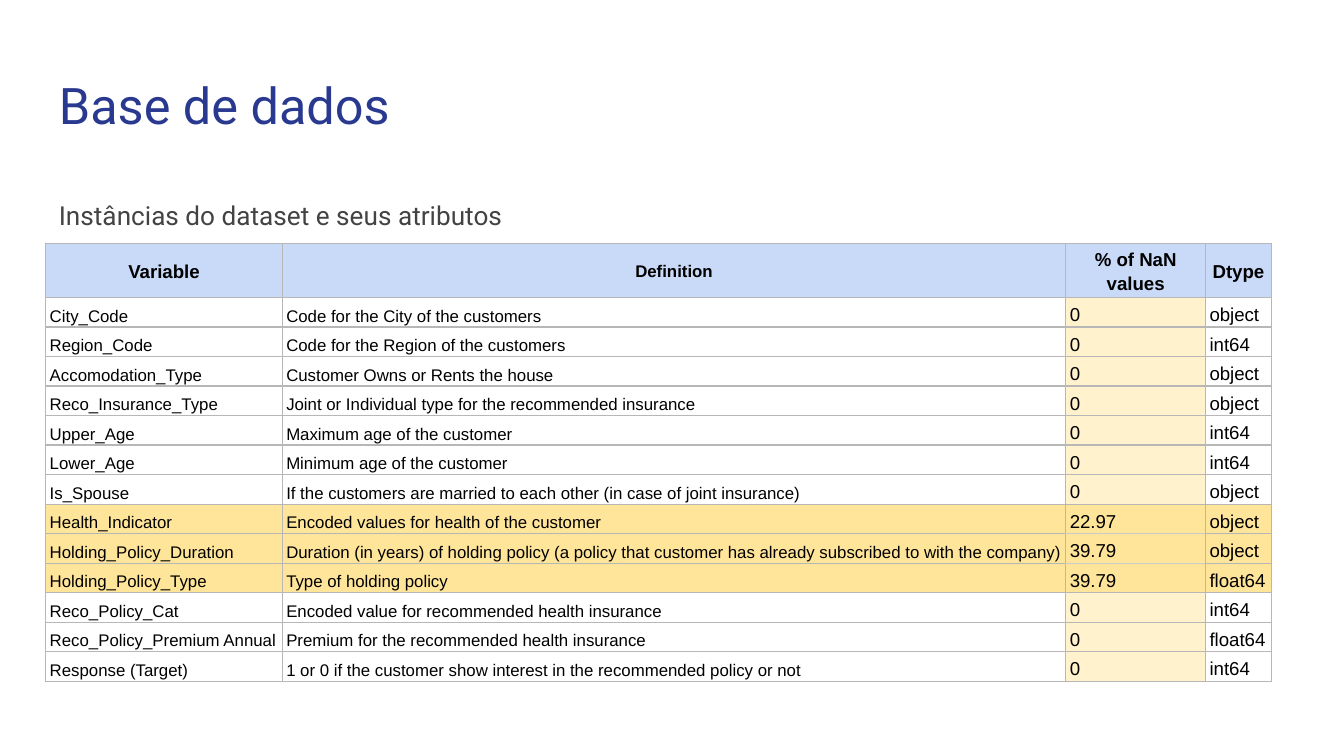
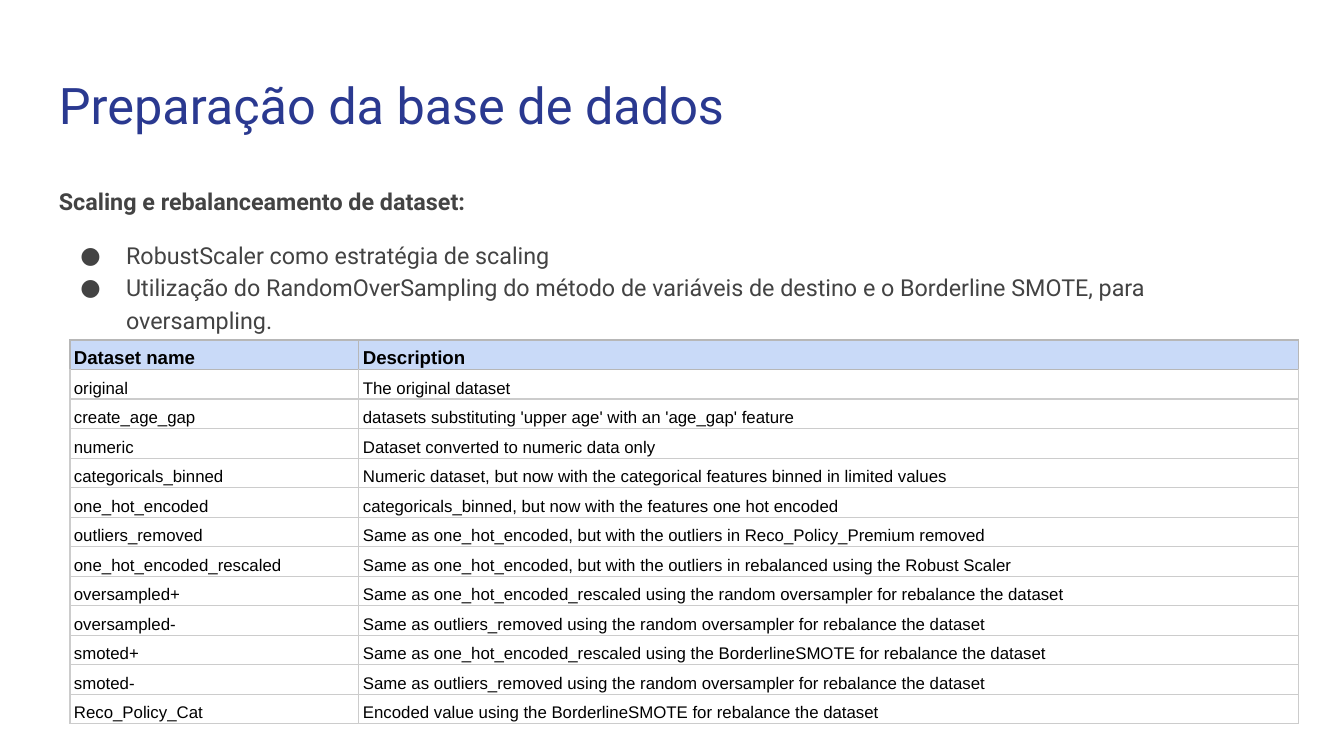
from lxml.etree import SubElement
from pptx import Presentation
from pptx.dml.color import RGBColor
from pptx.enum.text import MSO_ANCHOR, PP_ALIGN
from pptx.oxml import parse_xml
from pptx.oxml.ns import nsdecls, qn
from pptx.util import Inches, Pt

COLORS = {
    "title": "2A3990",
    "body": "434343",
    "cell": "000000",
    "header": "C9DAF8",
    "plain": "FFFFFF",
    "missing": "FFF2CC",
    "highlight": "FFE599",
    "rule": "B7B7B7",
    "soft_rule": "CCCCCC",
}
ROW_HEIGHT = 0.22

VARIABLES = [
    ("Variable", "Definition", "% of NaN values", "Dtype"),
    ("City_Code", "Code for the City of the customers", "0", "object"),
    ("Region_Code", "Code for the Region of the customers", "0", "int64"),
    ("Accomodation_Type", "Customer Owns or Rents the house", "0", "object"),
    ("Reco_Insurance_Type", "Joint or Individual type for the recommended insurance", "0", "object"),
    ("Upper_Age", "Maximum age of the customer", "0", "int64"),
    ("Lower_Age", "Minimum age of the customer", "0", "int64"),
    ("Is_Spouse", "If the customers are married to each other (in case of joint insurance)", "0", "object"),
    ("Health_Indicator", "Encoded values for health of the customer", "22.97", "object"),
    ("Holding_Policy_Duration",
     "Duration (in years) of holding policy (a policy that customer has already subscribed to with the company)",
     "39.79", "object"),
    ("Holding_Policy_Type", "Type of holding policy", "39.79", "float64"),
    ("Reco_Policy_Cat", "Encoded value for recommended health insurance", "0", "int64"),
    ("Reco_Policy_Premium Annual", "Premium for the recommended health insurance", "0", "float64"),
    ("Response (Target)", "1 or 0 if the customer show interest in the recommended policy or not", "0", "int64"),
]

DATASETS = [
    ("Dataset name", "Description"),
    ("original", "The original dataset"),
    ("create_age_gap", "datasets substituting 'upper age' with an 'age_gap' feature"),
    ("numeric", "Dataset converted to numeric data only"),
    ("categoricals_binned", "Numeric dataset, but now with the categorical features binned in limited values"),
    ("one_hot_encoded", "categoricals_binned, but now with the features one hot encoded"),
    ("outliers_removed", "Same as one_hot_encoded, but with the outliers in Reco_Policy_Premium removed"),
    ("one_hot_encoded_rescaled",
     "Same as one_hot_encoded, but with the outliers in rebalanced using the Robust Scaler"),
    ("oversampled+", "Same as one_hot_encoded_rescaled using the random oversampler for rebalance the dataset"),
    ("oversampled-", "Same as outliers_removed using the random oversampler for rebalance the dataset"),
    ("smoted+", "Same as one_hot_encoded_rescaled using the BorderlineSMOTE for rebalance the dataset"),
    ("smoted-", "Same as outliers_removed using the random oversampler for rebalance the dataset"),
    ("Reco_Policy_Cat", "Encoded value using the BorderlineSMOTE for rebalance the dataset"),
]


class Deck:
    def __init__(self):
        self.presentation = Presentation()
        self.presentation.slide_width = Inches(10)
        self.presentation.slide_height = Inches(10) * 9 // 16
        self.slide = None

    def new_slide(self, title):
        self.slide = self.presentation.slides.add_slide(self.presentation.slide_layouts[6])
        heading = self.text_frame(0.34, 0.45, 9.32, 0.66).paragraphs[0]
        heading.text = title
        self.style(heading, 27, "title")

    def style(self, paragraph, size, color, name="Roboto", bold=False):
        font = paragraph.font
        font.name, font.size, font.bold = name, Pt(size), bold
        font.color.rgb = RGBColor.from_string(COLORS[color])

    def text_frame(self, left, top, width, height):
        box = self.slide.shapes.add_textbox(Inches(left), Inches(top), Inches(width), Inches(height))
        frame = box.text_frame
        frame.word_wrap = True
        frame.margin_left = frame.margin_right = Inches(0.1)
        frame.margin_top = frame.margin_bottom = Inches(0.1)
        return frame

    def lead(self, frame, text, size, bold=False, space_after=0):
        paragraph = frame.paragraphs[0]
        paragraph.text = text
        paragraph.line_spacing = 1.15
        paragraph.space_after = Pt(space_after)
        self.style(paragraph, size, "body", bold=bold)

    def bullet(self, frame, text, size, space_before):
        paragraph = frame.add_paragraph()
        paragraph.text = text
        paragraph.line_spacing = 1.15
        paragraph.space_before = Pt(space_before)
        self.style(paragraph, size, "body")
        properties = paragraph._p.get_or_add_pPr()
        properties.set("marL", str(Inches(0.5)))
        properties.set("indent", str(Inches(-0.34)))
        color = SubElement(properties, qn("a:buClr"))
        SubElement(color, qn("a:srgbClr"), val=COLORS["body"])
        SubElement(properties, qn("a:buFont"), typeface="Roboto")
        SubElement(properties, qn("a:buChar"), char="●")

    def borders(self, cell, left, right, top, bottom):
        properties = cell._tc.get_or_add_tcPr()
        for index, (side, color) in enumerate(zip("LRTB", (left, right, top, bottom))):
            properties.insert(index, parse_xml(
                f'<a:ln{side} {nsdecls("a")} w="{Pt(0.75)}"><a:solidFill>'
                f'<a:srgbClr val="{COLORS[color]}"/></a:solidFill></a:ln{side}>'))

    def cell(self, cell, text, size, fill, header, centered):
        cell.margin_left = cell.margin_right = Inches(0.03)
        cell.margin_top = cell.margin_bottom = Inches(0.01)
        cell.vertical_anchor = MSO_ANCHOR.MIDDLE if centered else MSO_ANCHOR.BOTTOM
        if fill:
            cell.fill.solid()
            cell.fill.fore_color.rgb = RGBColor.from_string(COLORS[fill])
        else:
            cell.fill.background()
        paragraph = cell.text_frame.paragraphs[0]
        paragraph.text = text
        paragraph.line_spacing = 1.15
        paragraph.alignment = PP_ALIGN.CENTER if centered else PP_ALIGN.LEFT
        self.style(paragraph, size, "cell", name="Arial", bold=header)

    def table(self, left, top, widths, rows, header_height, header_sizes, sizes,
              fill_at, side_rule, rule_below, center_header=False):
        height = header_height + ROW_HEIGHT * (len(rows) - 1)
        table = self.slide.shapes.add_table(
            len(rows), len(widths), Inches(left), Inches(top),
            Inches(sum(widths)), Inches(height)).table
        table.first_row = table.horz_banding = False
        for column, width in zip(table.columns, widths):
            column.width = Inches(width)
        for r, row in enumerate(rows):
            header = r == 0
            table.rows[r].height = Inches(header_height if header else ROW_HEIGHT)
            side = "rule" if header else side_rule
            for c, text in enumerate(row):
                cell = table.cell(r, c)
                size = (header_sizes if header else sizes)[c]
                fill = "header" if header else fill_at(row, c)
                self.cell(cell, text, size, fill, header, header and center_header)
                above = "rule" if header else rule_below(r - 1, c)
                self.borders(cell, side, side, above, rule_below(r, c))


def variable_fill(row, column):
    if row[2] != "0":
        return "highlight"
    return ("plain", "plain", "missing", None)[column]


def variable_rule(row, column):
    return "soft_rule" if column == 2 and row in (8, 9) else "rule"


def main():
    deck = Deck()

    deck.new_slide("Base de dados")
    subtitle = deck.text_frame(0.34, 1.35, 9.26, 0.46)
    deck.lead(subtitle, "Instâncias do dataset e seus atributos", 14, space_after=12)
    deck.table(0.34, 1.81, (1.76, 5.83, 1.04, 0.49), VARIABLES, 0.39,
               (10, 9, 10, 10), (9, 9, 10, 10), variable_fill,
               "rule", variable_rule, center_header=True)

    deck.new_slide("Preparação da base de dados")
    strategy = deck.text_frame(0.34, 1.26, 9.32, 3.65)
    deck.lead(strategy, "Scaling e rebalanceamento de dataset:", 12.5, bold=True)
    for point, space_before in (
        ("RobustScaler como estratégia de scaling", 12),
        ("Utilização do RandomOverSampling do método de variáveis de destino e o "
         "Borderline SMOTE, para oversampling.", 0),
    ):
        deck.bullet(strategy, point, 12.5, space_before)
    deck.table(0.52, 2.53, (2.15, 6.99), DATASETS, ROW_HEIGHT, (10, 10), (9, 9),
               lambda row, column: "plain", "soft_rule",
               lambda row, column: "soft_rule" if row else "rule")

    deck.presentation.save("out.pptx")


if __name__ == "__main__":
    main()
